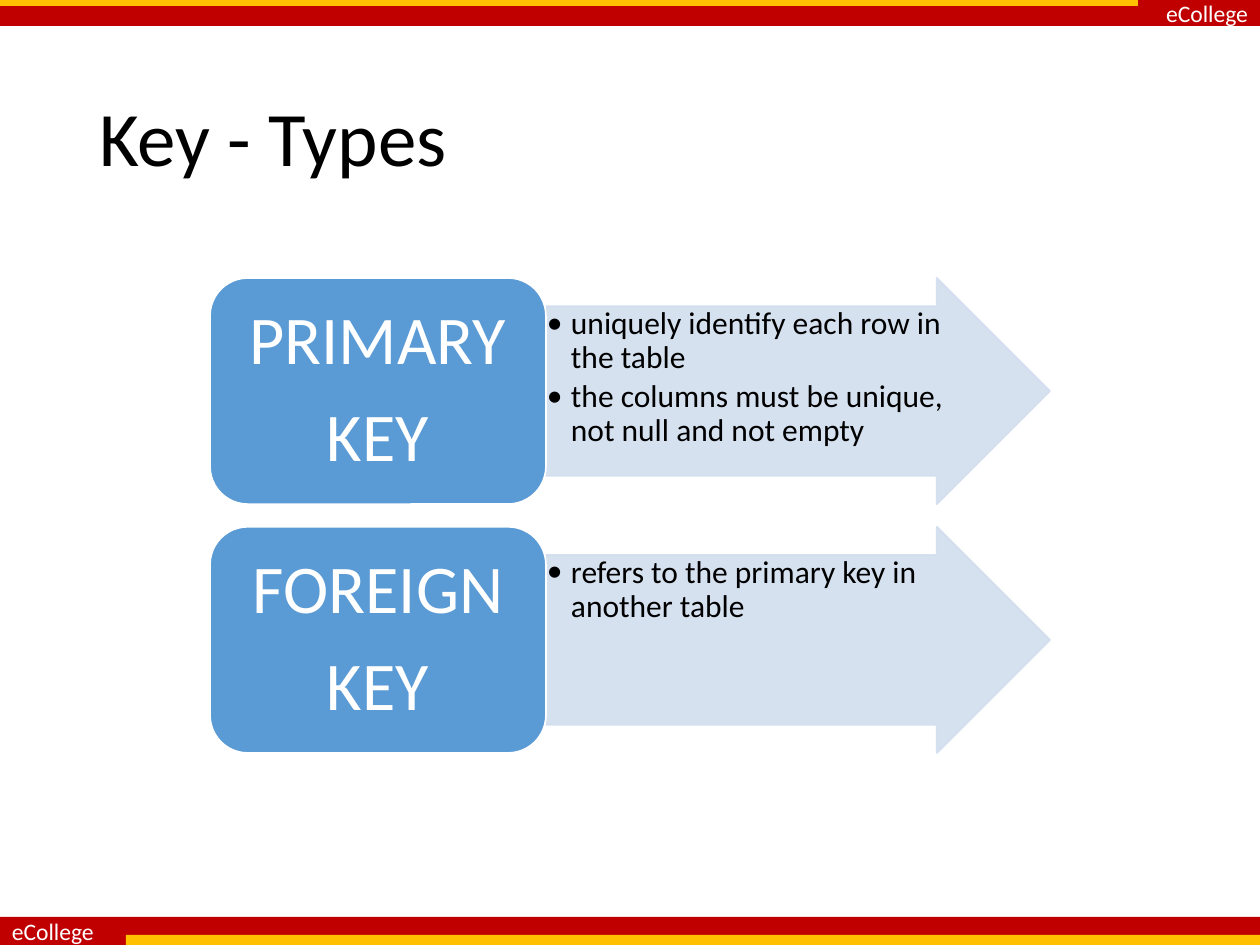
from lxml import etree
from pptx import Presentation
from pptx.dml.color import RGBColor
from pptx.enum.shapes import MSO_SHAPE
from pptx.enum.text import MSO_ANCHOR, PP_ALIGN
from pptx.oxml.ns import qn
from pptx.util import Emu, Pt

RECT, ROUNDED, ARROW = MSO_SHAPE.RECTANGLE, MSO_SHAPE.ROUNDED_RECTANGLE, MSO_SHAPE.RIGHT_ARROW
LEFT, CENTER, RIGHT = PP_ALIGN.LEFT, PP_ALIGN.CENTER, PP_ALIGN.RIGHT
TOP, MIDDLE = MSO_ANCHOR.TOP, MSO_ANCHOR.MIDDLE

SLIDE_W, SLIDE_H = 1260, 945
FONT = "Calibri"
BRAND = "eCollege"
COLORS = {"red": "C00000", "gold": "FFC000", "blue": "5B9BD5",
          "pale": "D2DEEF", "white": "FFFFFF", "black": "000000"}
KEY_TYPES = [
    (["PRIMARY", "KEY"], ["uniquely identify each row in the table",
                          "the columns must be unique, not null and not empty"]),
    (["FOREIGN", "KEY"], ["refers to the primary key in another table"]),
]


def px(length):
    return Emu(round(length * 914400 / 126))


def color(name):
    return RGBColor.from_string(COLORS[name])


def add_filled(slide, preset, box, fill, line=None):
    shape = slide.shapes.add_shape(preset, *map(px, box))
    shape.shadow.inherit = False
    shape.fill.solid()
    shape.fill.fore_color.rgb = color(fill)
    if line:
        shape.line.color.rgb = color(line)
        shape.line.width = Pt(1)
    else:
        shape.line.fill.background()
    return shape


def set_frame(shape, anchor, insets):
    """Anchor and wrap the text; insets are left, top, right, bottom in px."""
    frame = shape.text_frame
    frame.word_wrap = True
    frame.vertical_anchor = anchor
    (frame.margin_left, frame.margin_top,
     frame.margin_right, frame.margin_bottom) = map(px, insets)
    return frame


def write_lines(frame, lines, size, ink, align, spacing=None, after=0):
    for index, line in enumerate(lines):
        paragraph = frame.add_paragraph() if index else frame.paragraphs[0]
        paragraph.alignment = align
        paragraph.line_spacing = spacing
        paragraph.space_after = Pt(after)
        run = paragraph.add_run()
        run.text = line
        run.font.size = Pt(size)
        run.font.name = FONT
        run.font.color.rgb = color(ink)


def add_bullet(paragraph, indent):
    properties = paragraph._p.get_or_add_pPr()
    properties.set("marL", str(px(indent)))
    properties.set("indent", str(-px(indent)))
    etree.SubElement(properties, qn("a:buFont")).set("typeface", FONT)
    etree.SubElement(properties, qn("a:buChar")).set("char", "•")


def set_opacity(shape_properties, percent):
    for hex_color in shape_properties.iter(qn("a:srgbClr")):
        etree.SubElement(hex_color, qn("a:alpha")).set("val", str(percent * 1000))


def add_band(slide, box, stripe, align):
    """Red band with the school name; stripe is relative to the band."""
    left, top, _, _ = box
    band = add_filled(slide, RECT, box, "red")
    write_lines(set_frame(band, MIDDLE, (12, 0, 12, 0)), [BRAND], 13.5, "white", align)
    x, y, width, height = stripe
    add_filled(slide, RECT, (left + x, top + y, width, height), "gold")


def add_title(slide, box, text):
    title = slide.shapes.title
    title.left, title.top, title.width, title.height = map(px, box)
    frame = set_frame(title, MIDDLE, (12, 6, 12, 6))
    write_lines(frame, [text], 44, "black", LEFT, spacing=0.9)


def add_key_row(slide, box, name, facts):
    """Rounded name block over two fifths of the box, then an arrow with the facts."""
    left, top, width, height = box
    name_width = round(width * 0.4)

    arrow = add_filled(slide, ARROW, (left + name_width, top, width - name_width, height),
                       "pale", "pale")
    arrow.adjustments[0], arrow.adjustments[1] = 0.75, 0.5
    set_opacity(arrow._element.spPr, 90)
    facts_frame = set_frame(arrow, TOP, (1, 1, 1, 1))
    write_lines(facts_frame, facts, 18, "black", LEFT, spacing=0.9, after=3)
    for paragraph in facts_frame.paragraphs:
        paragraph.level = 1
        add_bullet(paragraph, 24)

    block = add_filled(slide, ROUNDED, (left, top, name_width, height), "blue", "white")
    write_lines(set_frame(block, MIDDLE, (20, 10, 20, 10)), name, 39, "white", CENTER,
                spacing=0.9, after=13)


def add_key_types(slide, box, rows):
    """Stack the rows with gaps of a tenth of a row height."""
    left, top, width, height = box
    row_height = height / (1.1 * len(rows) - 0.1)
    for index, (name, facts) in enumerate(rows):
        add_key_row(slide, (left, top + index * row_height * 1.1, width, row_height),
                    name, facts)


def main():
    deck = Presentation()
    deck.slide_width, deck.slide_height = px(SLIDE_W), px(SLIDE_H)
    slide = deck.slides.add_slide(deck.slide_layouts[5])
    add_band(slide, (0, 0, SLIDE_W, 26), (0, 0, 1138, 6), RIGHT)
    add_band(slide, (0, 917, SLIDE_W, 28), (126, 18, 1134, 10), LEFT)
    add_title(slide, (87, 50, 1086, 183), "Key - Types")
    add_key_types(slide, (210, 278, 840, 475), KEY_TYPES)
    deck.save("out.pptx")


if __name__ == "__main__":
    main()
